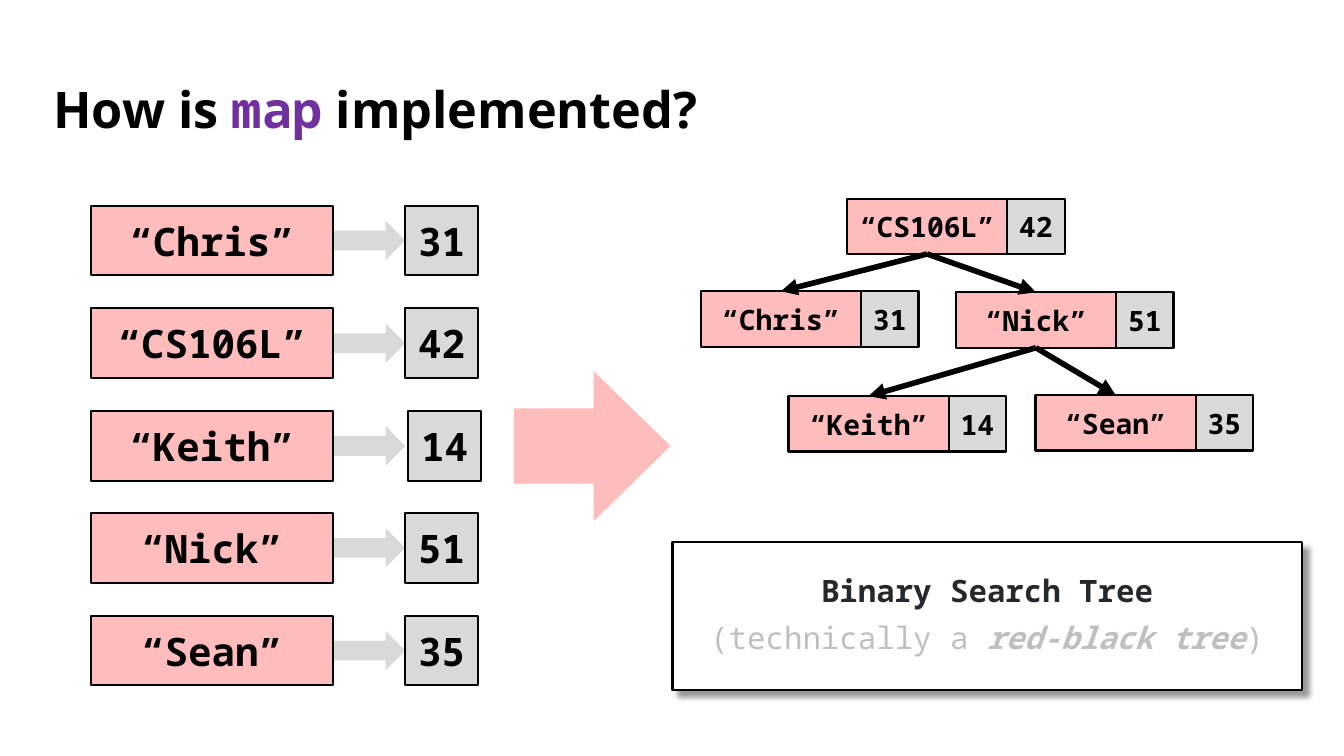
from dataclasses import dataclass

from lxml import etree
from pptx import Presentation
from pptx.dml.color import RGBColor
from pptx.enum.shapes import MSO_CONNECTOR as Connector, MSO_SHAPE as Shape
from pptx.enum.text import MSO_ANCHOR as Anchor, MSO_AUTO_SIZE as AutoSize, PP_ALIGN as Align
from pptx.oxml import parse_xml
from pptx.oxml.ns import nsdecls, qn
from pptx.util import Pt

PX = 9144  # EMU; 100 px to the inch


@dataclass(frozen=True)
class Theme:
    sans: str = "Open Sans"
    mono: str = "Noto Sans Mono"
    black: str = "000000"
    white: str = "FFFFFF"
    pink: str = "FFBCBC"
    grey: str = "D9D9D9"
    purple: str = "7030A0"
    ink: str = "24292E"
    pale: str = "BFBFBF"
    title: int = 36
    entry: int = 28
    node: int = 20
    caption: int = 22
    outline: float = 1.5
    edge: int = 4


theme = Theme()


def add_span(para, text, size, color=theme.black, font=theme.mono, bold=True, italic=False):
    span = para.add_run()
    span.text = text
    span.font.name, span.font.size = font, Pt(size)
    span.font.bold, span.font.italic = bold, italic
    span.font.color.rgb = RGBColor.from_string(color)


def add_block(kind, left, top, width, height, fill, text="", size=theme.entry):
    """Add a filled shape; rectangles get a black outline."""
    block = page.shapes.add_shape(kind, left * PX, top * PX, width * PX, height * PX)
    block.shadow.inherit = False
    block.fill.solid()
    block.fill.fore_color.rgb = RGBColor.from_string(fill)
    if kind == Shape.RECTANGLE:
        block.line.color.rgb = RGBColor.from_string(theme.black)
        block.line.width = Pt(theme.outline)
    else:
        block.line.fill.background()
    block.text_frame.vertical_anchor = Anchor.MIDDLE
    if text:
        para = block.text_frame.paragraphs[0]
        para.alignment = Align.CENTER
        add_span(para, text, size)
    return block


deck = Presentation()
deck.slide_width, deck.slide_height = 1333 * PX, 750 * PX
page = deck.slides.add_slide(deck.slide_layouts[5])

# Title
title = page.shapes.title
title.left, title.top, title.width, title.height = 43 * PX, 69 * PX, 1247 * PX, 84 * PX
title.text_frame.auto_size = AutoSize.NONE
title.text_frame.vertical_anchor = Anchor.MIDDLE
title_para = title.text_frame.paragraphs[0]
title_para.alignment = Align.LEFT
title_para.line_spacing = 0.9
add_span(title_para, "How is ", theme.title, font=theme.sans)
add_span(title_para, "map", theme.title, theme.purple)
add_span(title_para, " implemented?", theme.title, font=theme.sans)

# Map entries: key, value, left edge of the value
entries = [
    ("“Chris”", "31", 402),
    ("“CS106L”", "42", 402),
    ("“Keith”", "14", 405),
    ("“Nick”", "51", 402),
    ("“Sean”", "35", 402),
]
for row, (key, value, value_left) in enumerate(entries):
    top = round(204 + row * 101.75)
    add_block(Shape.RIGHT_ARROW, 330, top + 15, 72, 39, theme.grey)
    add_block(Shape.RECTANGLE, 90, top, 240, 69, theme.pink, key)
    add_block(Shape.RECTANGLE, value_left, top, 72, 69, theme.grey, value)

big_arrow = add_block(Shape.RIGHT_ARROW, 510, 368, 155, 149, theme.pink)
big_arrow.adjustments[1] = 0.512

# Search tree: key, value, left, top
nodes = [
    ("“CS106L”", "42", 840, 197),
    ("“Chris”", "31", 695, 289),
    ("“Nick”", "51", 948, 290),
    ("“Keith”", "14", 782, 393),
    ("“Sean”", "35", 1027, 392),
]
key_boxes = {}
for key, value, left, top in nodes:
    key_boxes[key] = add_block(Shape.RECTANGLE, left, top, 159, 55, theme.pink, key, theme.node)
    add_block(Shape.RECTANGLE, left + 159, top, 57, 55, theme.grey, value, theme.node)

BOTTOM, TOP = 2, 0  # connection sites of a rectangle
edges = [
    ("“CS106L”", "“Chris”"),
    ("“CS106L”", "“Nick”"),
    ("“Nick”", "“Keith”"),
    ("“Nick”", "“Sean”"),
]
for parent, child in edges:
    edge = page.shapes.add_connector(Connector.STRAIGHT, 0, 0, 0, 0)
    edge.begin_connect(key_boxes[parent], BOTTOM)
    edge.end_connect(key_boxes[child], TOP)
    edge.line.width = Pt(theme.edge)
    edge.line.color.rgb = RGBColor.from_string(theme.black)
    etree.SubElement(edge.line._get_or_add_ln(), qn("a:tailEnd"), type="triangle")
    etree.SubElement(edge._element.spPr, qn("a:effectLst"))

# Caption
caption = add_block(Shape.RECTANGLE, 667, 538, 624, 147, theme.white)
effects = caption._element.spPr.find(qn("a:effectLst"))
effects.append(parse_xml(
    f'<a:outerShdw {nsdecls("a")} blurRad="{Pt(4)}" dist="{Pt(6)}" dir="2700000" algn="tl" rotWithShape="0">'
    f'<a:srgbClr val="{theme.black}"><a:alpha val="40000"/></a:srgbClr></a:outerShdw>'))
frame = caption.text_frame
frame.margin_left = frame.margin_right = frame.margin_top = frame.margin_bottom = 25 * PX
heading, remark = frame.paragraphs[0], frame.add_paragraph()
for para in (heading, remark):
    para.alignment = Align.CENTER
    para.line_spacing = 0.9
remark.space_before = Pt(10)
add_span(heading, "Binary Search Tree", theme.caption, theme.ink)
add_span(remark, "(technically a ", theme.caption, theme.pale, bold=False)
add_span(remark, "red-black tree", theme.caption, theme.pale, italic=True)
add_span(remark, ")", theme.caption, theme.pale, bold=False)

deck.save("out.pptx")
